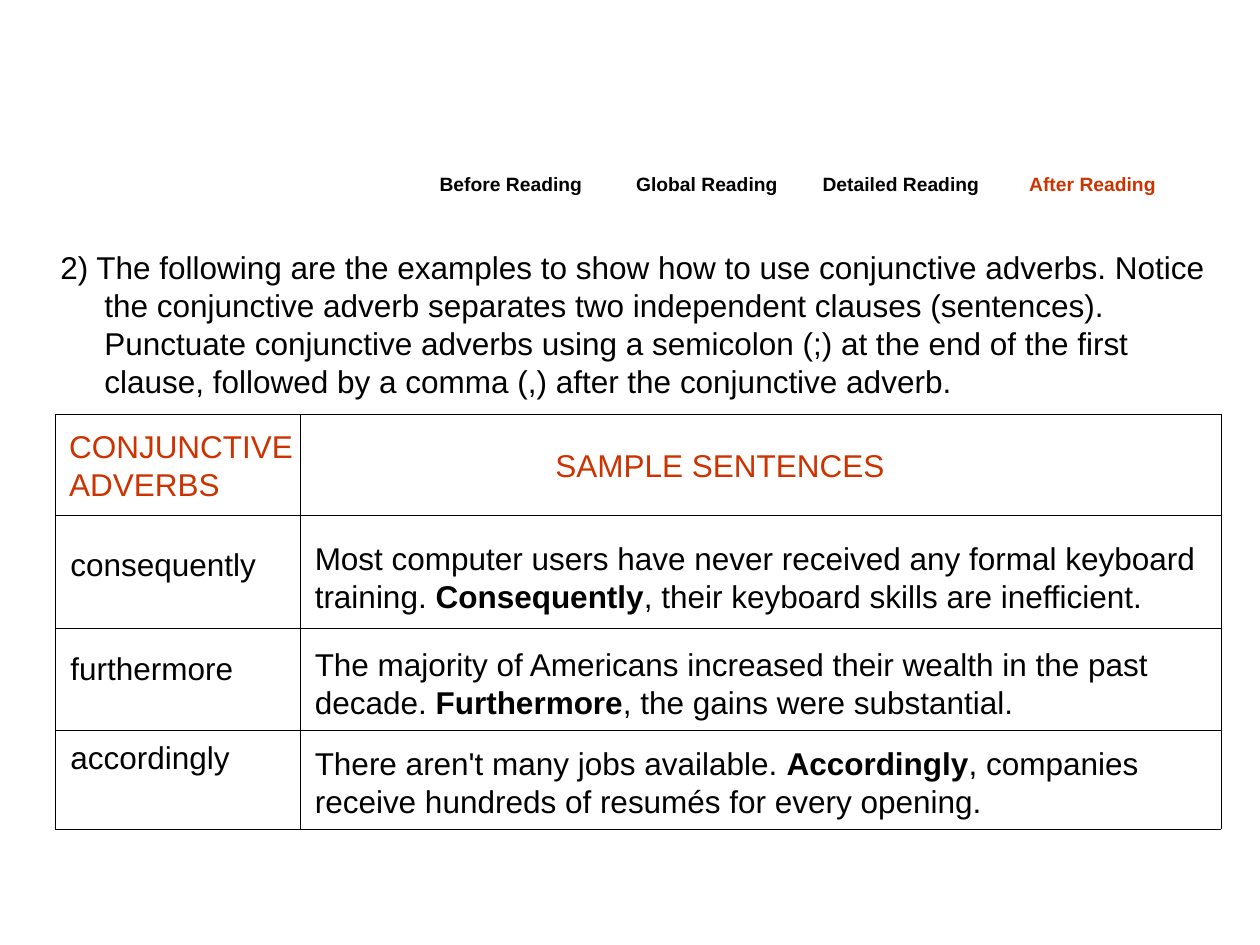
from lxml.etree import SubElement
from pptx import Presentation
from pptx.dml.color import RGBColor as RGB
from pptx.enum.text import MSO_ANCHOR as Anchor, MSO_AUTO_SIZE as Auto
from pptx.oxml.ns import qn
from pptx.util import Inches, Pt

INK = {"text": "000000", "accent": "CC3300", "line": "000000"}
FONT = "Arial"
SIZE = 18

# Navigation: label, left, width, colour
TABS = [
    ("Before Reading", 3.39, 1.36, "text"),
    ("Global Reading", 4.95, 1.36, "text"),
    ("Detailed Reading", 6.43, 1.58, "text"),
    ("After Reading", 8.07, 1.36, "accent"),
]
TAB_TOP, TAB_HIGH, TAB_SIZE = 1.32, 0.29, 11

INTRO = (
    "2) The following are the examples to show how to use conjunctive adverbs. "
    "Notice the conjunctive adverb separates two independent clauses (sentences). "
    "Punctuate conjunctive adverbs using a semicolon (;) at the end of the first "
    "clause, followed by a comma (,) after the conjunctive adverb."
)
INTRO_BOX = (0.38, 1.92, 9.32, 1.3)
HANG = 0.35

GRID_LEFT, GRID_TOP = 0.44, 3.29
COLS = [1.94, 7.31]
ROWS = [0.8, 0.9, 0.81, 0.78]

# Headings: lines, offset from the grid's corner, size
HEADS = [
    (["CONJUNCTIVE", "ADVERBS"], 0.01, 0.05, 1.98, 0.7),
    (["SAMPLE SENTENCES"], 3.87, 0.2, 2.81, 0.4),
]
# Adverb, its drop in the row, its width, then the sentence's drop and runs
SAMPLES = [
    ("consequently", 0.19, 1.7, 0.14,
     ("Most computer users have never received any formal keyboard training. ",
      "Consequently", ", their keyboard skills are inefficient.")),
    ("furthermore", 0.11, 1.52, 0.08,
     ("The majority of Americans increased their wealth in the past decade. ",
      "Furthermore", ", the gains were substantial.")),
    ("accordingly", 0.01, 1.52, 0.06,
     ("There aren't many jobs available. ",
      "Accordingly", ", companies receive hundreds of resumés for every opening.")),
]
WORD_LEFT, WORD_HIGH = 0.46, 0.4
LINE_LEFT, LINE_WIDE, LINE_HIGH = 2.4, 7.25, 0.7


def add_text(slide, box, paras, color="text", size=SIZE, bold=False, wrap=True):
    """Add a text box; each paragraph is a list of (text, bold) runs or a string."""
    frame = slide.shapes.add_textbox(*map(Inches, box)).text_frame
    frame.word_wrap = wrap
    frame.auto_size = Auto.SHAPE_TO_FIT_TEXT
    for i, runs in enumerate(paras):
        para = frame.add_paragraph() if i else frame.paragraphs[0]
        if isinstance(runs, str):
            runs = [(runs, bold)]
        for text, heavy in runs:
            run = para.add_run()
            run.text = text
            look = {"name": FONT, "size": Pt(size), "bold": heavy}
            for key, value in look.items():
                setattr(run.font, key, value)
            run.font.color.rgb = RGB.from_string(INK[color])
    return frame


def add_edges(cell):
    props = cell._tc.get_or_add_tcPr()
    for side in ("lnL", "lnR", "lnT", "lnB"):
        line = SubElement(props, qn(f"a:{side}"), w=str(Pt(0.45)))
        fill = SubElement(line, qn("a:solidFill"))
        SubElement(fill, qn("a:srgbClr"), val=INK["line"])


def add_grid(slide):
    area = map(Inches, (GRID_LEFT, GRID_TOP, sum(COLS), sum(ROWS)))
    table = slide.shapes.add_table(len(ROWS), len(COLS), *area).table
    table.first_row = table.horz_banding = False
    for col, wide in zip(table.columns, COLS):
        col.width = Inches(wide)
    for row, high in zip(table.rows, ROWS):
        row.height = Inches(high)
    for cell in table.iter_cells():
        add_edges(cell)
        cell.fill.background()


def main():
    deck = Presentation()
    deck.slide_width, deck.slide_height = Inches(10), Inches(7.5)
    slide = deck.slides.add_slide(deck.slide_layouts[6])

    for label, left, wide, color in TABS:
        add_text(slide, (left, TAB_TOP, wide, TAB_HIGH), [label],
                 color, TAB_SIZE, bold=True)

    intro = add_text(slide, INTRO_BOX, [INTRO])
    intro.vertical_anchor = Anchor.MIDDLE
    props = intro.paragraphs[0]._p.get_or_add_pPr()
    props.set("marL", str(Inches(HANG)))
    props.set("indent", str(-Inches(HANG)))

    add_grid(slide)
    for lines, right, down, wide, high in HEADS:
        add_text(slide, (GRID_LEFT + right, GRID_TOP + down, wide, high),
                 lines, "accent", wrap=False)

    top = GRID_TOP
    for high, (word, drop, wide, fall, parts) in zip(ROWS, SAMPLES):
        top += high
        add_text(slide, (WORD_LEFT, top + drop, wide, WORD_HIGH), [word])
        runs = list(zip(parts, (False, True, False)))
        add_text(slide, (LINE_LEFT, top + fall, LINE_WIDE, LINE_HIGH), [runs])

    deck.save("out.pptx")


if __name__ == "__main__":
    main()
